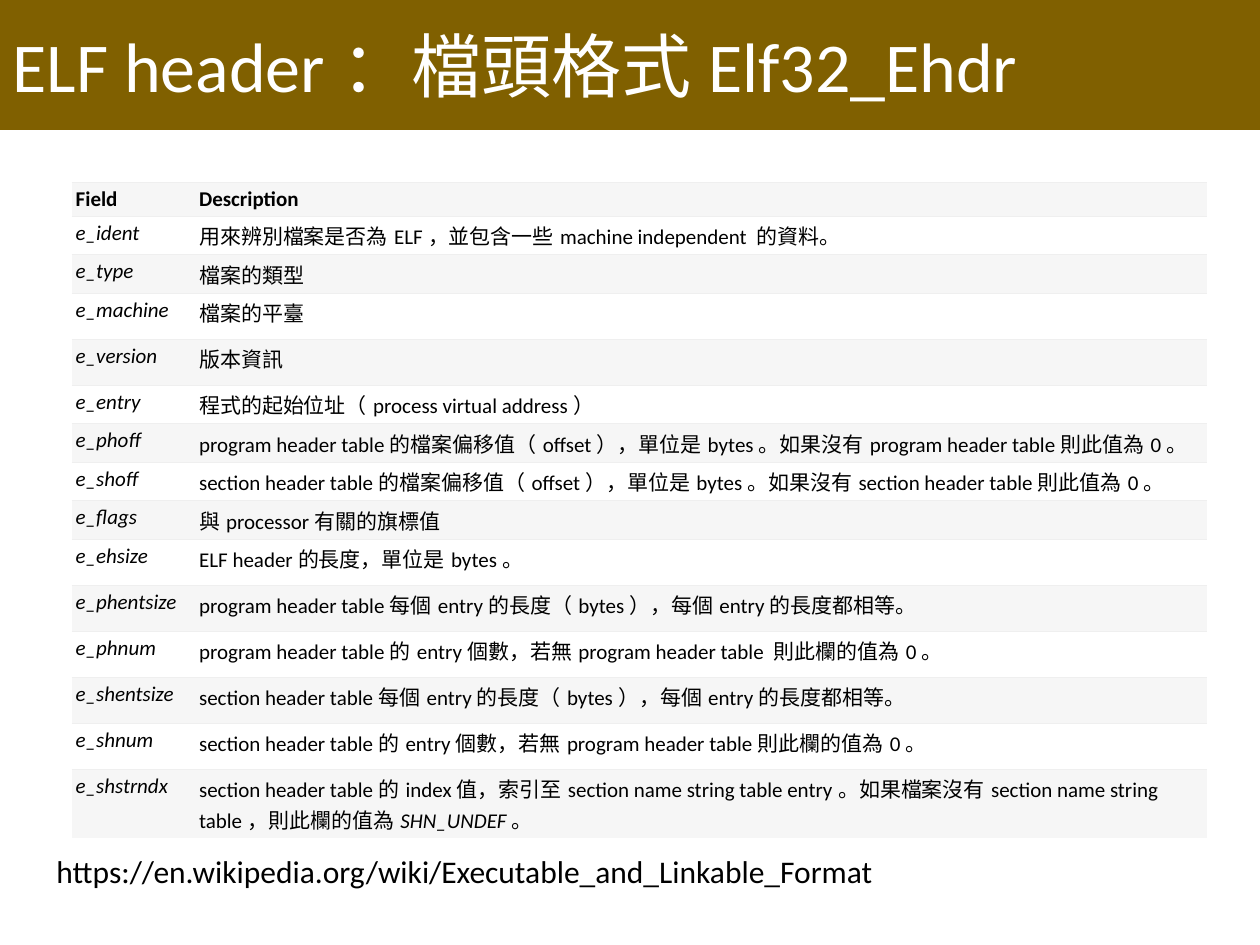
from dataclasses import dataclass
from itertools import groupby

from lxml.etree import SubElement
from pptx import Presentation
from pptx.dml.color import RGBColor as RGB
from pptx.enum.text import MSO_ANCHOR as Anchor, MSO_AUTO_SIZE as AutoSize, PP_ALIGN as Align
from pptx.oxml import parse_xml
from pptx.oxml.ns import nsdecls, qn
from pptx.util import Pt

# Content: (field, description, row is tall)
TITLE = "ELF header：檔頭格式Elf32_Ehdr"
URL = "https://en.wikipedia.org/wiki/Executable_and_Linkable_Format"
HEADER = ("Field", "Description", False)
ITALIC_TERM = "SHN_UNDEF"
FIELDS = [
    ("e_ident", "用來辨別檔案是否為ELF，並包含一些machine independent 的資料。", False),
    ("e_type", "檔案的類型", False),
    ("e_machine", "檔案的平臺", True),
    ("e_version", "版本資訊", True),
    ("e_entry", "程式的起始位址（process virtual address）", False),
    ("e_phoff", "program header table的檔案偏移值（offset），單位是bytes。"
                "如果沒有program header table則此值為0。", False),
    ("e_shoff", "section header table的檔案偏移值（offset），單位是bytes。"
                "如果沒有section header table則此值為0。", False),
    ("e_flags", "與processor有關的旗標值", False),
    ("e_ehsize", "ELF header的長度，單位是bytes。", True),
    ("e_phentsize", "program header table每個entry的長度（bytes），每個entry的長度都相等。", True),
    ("e_phnum", "program header table的entry個數，若無program header table 則此欄的值為0。", True),
    ("e_shentsize", "section header table每個entry的長度（bytes），每個entry的長度都相等。", True),
    ("e_shnum", "section header table的entry個數，若無program header table則此欄的值為0。", True),
    ("e_shstrndx", "section header table的index值，索引至section name string table entry。"
                   "如果檔案沒有section name string table，則此欄的值為SHN_UNDEF。", True),
]


@dataclass(frozen=True)
class Theme:
    latin: str = "Calibri"
    cjk: str = "Noto Sans CJK JP"
    title_size: int = 40
    url_size: int = 18
    cell_size: int = 12
    banner: str = "806000"
    light: str = "FFFFFF"
    ink: str = "000000"
    bands: tuple = ("F6F6F6", "FFFFFF")
    rule: str = "EFEFEF"


T = Theme()
NO_STYLE = "{2D5ABB26-0587-4C30-8999-92F81FD0307C}"
COL_WIDTHS = (70.5, 578.3)
ROW_HEIGHT, TALL_ROW_HEIGHT = 18.9, 26.3
CELL_INSET = 2.3


def is_cjk(char):
    return ord(char) > 0x2E7F


def write(p, text, size, color, bold=False, italic=False):
    """Fill a paragraph, one run for each stretch of one script."""
    f = p.font
    f.name, f.size, f.bold, f.italic = T.latin, Pt(size), bold, italic
    f.color.rgb = RGB.from_string(color)
    for cjk, chars in groupby(text, is_cjk):
        r = p.add_run()
        r.text = "".join(chars)
        if cjk:
            r.font.name = T.cjk
            SubElement(r.font._element, qn("a:ea"), typeface=T.cjk)
        elif r.text == ITALIC_TERM:
            r.font.italic = True


def add_rules(cell, edges):
    """Draw thin lines on the given cell edges."""
    tcPr = cell._tc.get_or_add_tcPr()
    for i, edge in enumerate(edges):
        tcPr.insert(i, parse_xml(
            f'<a:{edge} {nsdecls("a")} w="{Pt(0.75)}"><a:solidFill>'
            f'<a:srgbClr val="{T.rule}"/></a:solidFill></a:{edge}>'))


prs = Presentation()
prs.slide_width, prs.slide_height = Pt(720), Pt(540)
s = prs.slides.add_slide(prs.slide_layouts[5])

# Field table
rows = [HEADER] + FIELDS
heights = [TALL_ROW_HEIGHT if tall else ROW_HEIGHT for *_, tall in rows]
frame = s.shapes.add_table(len(rows), len(COL_WIDTHS), Pt(41), Pt(104.3),
                           Pt(sum(COL_WIDTHS)), Pt(sum(heights)))
table = frame.table
table.first_row = table.horz_banding = False
table._tbl.tblPr.find(qn("a:tableStyleId")).text = NO_STYLE
for column, width in zip(table.columns, COL_WIDTHS):
    column.width = Pt(width)
for i, (field, description, _) in enumerate(rows):
    table.rows[i].height = Pt(heights[i])
    edges = ("lnT",) if i == len(rows) - 1 else ("lnT", "lnB")
    for j, text in enumerate((field, description)):
        cell = table.cell(i, j)
        cell.margin_left = cell.margin_right = Pt(CELL_INSET)
        cell.margin_top = cell.margin_bottom = Pt(CELL_INSET)
        cell.fill.solid()
        cell.fill.fore_color.rgb = RGB.from_string(T.bands[i % 2])
        add_rules(cell, edges)
        write(cell.text_frame.paragraphs[0], text, T.cell_size, T.ink,
              bold=i == 0, italic=i > 0 and j == 0)

# Title banner with a downward pointer
sp = s.shapes.title
sp.left, sp.top, sp.width, sp.height = Pt(0), Pt(0), Pt(720), Pt(74.2)
sp._element.spPr.append(parse_xml(
    f'<a:prstGeom {nsdecls("a")} prst="wedgeRectCallout"><a:avLst/></a:prstGeom>'))
sp.fill.solid()
sp.fill.fore_color.rgb = RGB.from_string(T.banner)
tf = sp.text_frame
tf.auto_size, tf.vertical_anchor = AutoSize.NONE, Anchor.MIDDLE
tf.paragraphs[0].alignment = Align.LEFT
write(tf.paragraphs[0], TITLE, T.title_size, T.light)

# Reference address
tf = s.shapes.add_textbox(Pt(25.2), Pt(483.1), Pt(486.7), Pt(29)).text_frame
tf.word_wrap, tf.auto_size = True, AutoSize.SHAPE_TO_FIT_TEXT
write(tf.paragraphs[0], URL, T.url_size, T.ink)

prs.save("out.pptx")
